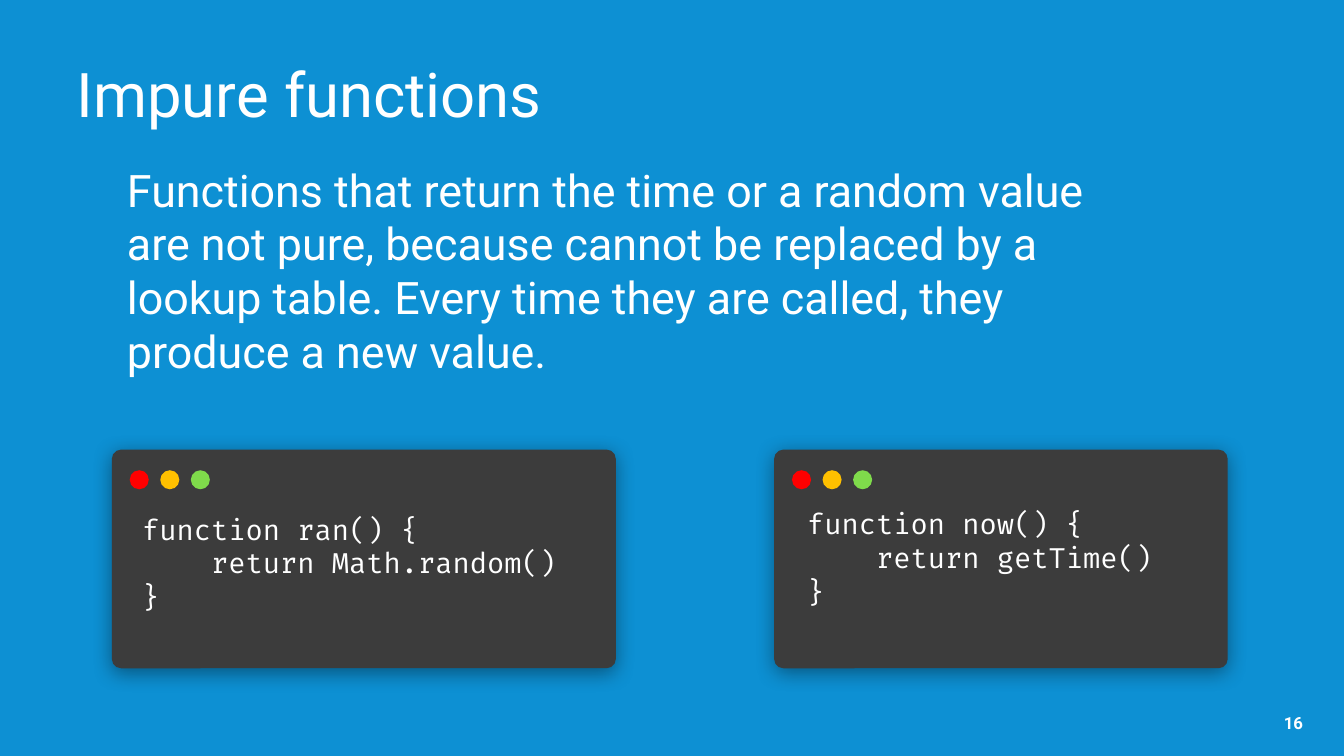
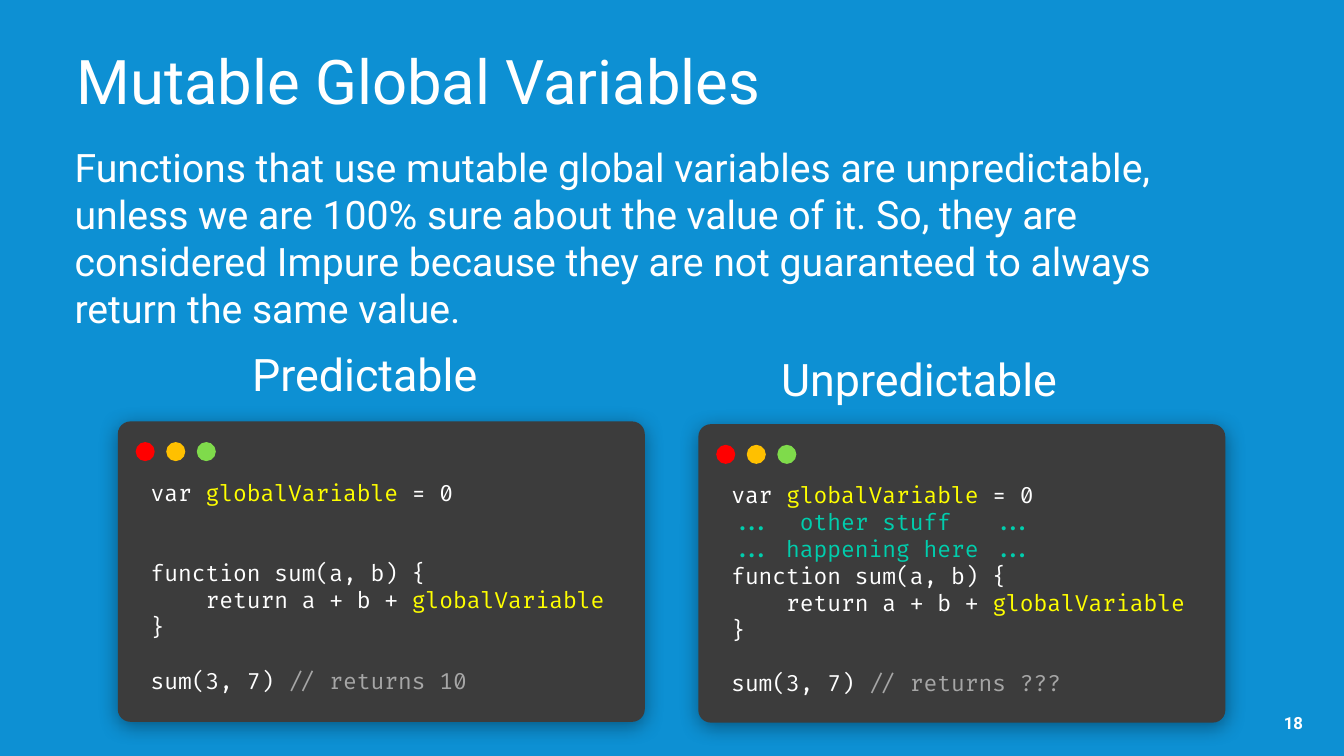
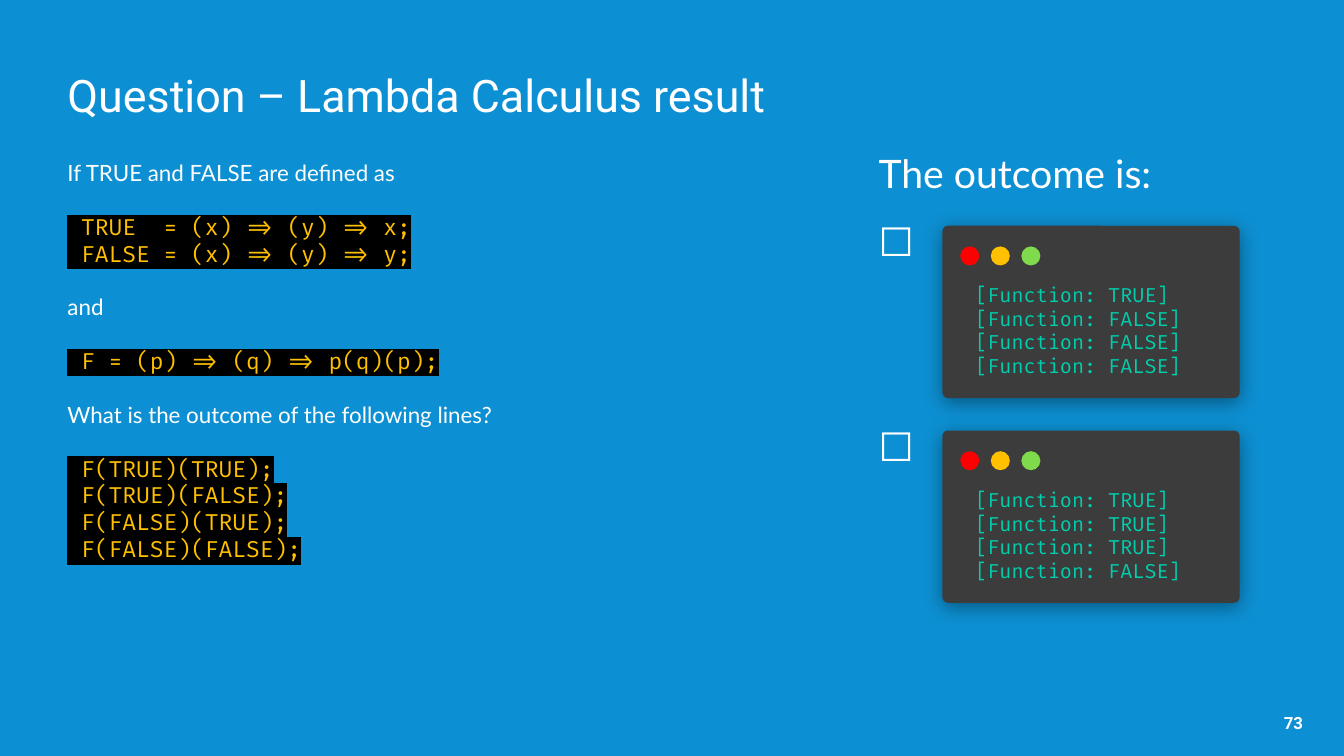
from dataclasses import dataclass
from typing import NamedTuple

from lxml.etree import SubElement
from pptx import Presentation
from pptx.dml.color import RGBColor
from pptx.enum.shapes import MSO_SHAPE
from pptx.enum.text import MSO_ANCHOR, MSO_AUTO_SIZE, PP_ALIGN
from pptx.oxml import parse_xml
from pptx.oxml.ns import nsdecls, qn
from pptx.util import Cm, Pt

# Shared look
COLORS = {
    "background": "0D90D3", "white": "FFFFFF", "black": "000000",
    "window": "3C3C3C", "red": "FF0000", "amber": "FFC000", "green": "7FDB4B",
    "yellow": "FFFF00", "teal": "00CEAD", "gray": "A6A6A6",
}
DOTS = ("red", "amber", "green")
DOT_X, DOT_Y, DOT_SIZE, DOT_PITCH = 0.45, 0.52, 0.48, 0.77
TEXT_FONT, CODE_FONT, QUIZ_FONT = "Roboto", "Fira Code", "Lato"
BLANK_LINE = 19.2  # height in points of an empty 16 pt line


class Box(NamedTuple):
    x: float
    y: float
    w: float
    h: float


class Run(NamedTuple):
    text: str
    color: str = "white"
    font: str = CODE_FONT
    highlight: str = ""


class Line(NamedTuple):
    runs: list[Run]
    before: float = 0
    after: float = 0


@dataclass
class CodeWindow:
    box: Box
    lines: list[Line]
    size: float
    text_x: float = 0.58
    text_y: float = 1.32
    corner: float = 0.042


def rgb(name: str) -> RGBColor:
    return RGBColor.from_string(COLORS[name])


def cm(box: Box) -> list[Cm]:
    return [Cm(v) for v in box]


def apply(target, **values) -> None:
    for key, value in values.items():
        setattr(target, key, value)


def single(text: str, font: str = TEXT_FONT, color: str = "white", after: float = 0) -> Line:
    return Line([Run(text, color, font)], after=after)


# Text
def write(tf, lines: list[Line], size: float, bold: bool = False, **para) -> None:
    apply(tf, word_wrap=True, auto_size=MSO_AUTO_SIZE.NONE)
    for i, line in enumerate(lines):
        p = tf.paragraphs[0] if i == 0 else tf.add_paragraph()
        pPr = p._p.get_or_add_pPr()
        apply_indent = {"marL": "0", "indent": "0"}
        for key, value in apply_indent.items():
            pPr.set(key, value)
        SubElement(pPr, qn("a:buNone"))
        apply(p, space_before=Pt(line.before), space_after=Pt(line.after), **para)
        for run in line.runs:
            r = p.add_run()
            r.text = run.text
            apply(r.font, name=run.font, size=Pt(size), bold=bold)
            r.font.color.rgb = rgb(run.color)
            if run.highlight:
                fill = r._r.rPr.find(qn("a:solidFill"))
                fill.addnext(parse_xml(
                    f'<a:highlight {nsdecls("a")}>'
                    f'<a:srgbClr val="{COLORS[run.highlight]}"/></a:highlight>'))


def set_inset(tf, inset: float) -> None:
    for side in ("left", "top", "right", "bottom"):
        setattr(tf, f"margin_{side}", Cm(inset))


def fill_placeholder(sp, box: Box, lines: list[Line], size: float, **para) -> None:
    apply(sp, **dict(zip(("left", "top", "width", "height"), cm(box))))
    set_inset(sp.text_frame, 0)
    sp.text_frame.vertical_anchor = MSO_ANCHOR.TOP
    write(sp.text_frame, lines, size, alignment=PP_ALIGN.LEFT, **para)


def add_label(shapes, box: Box, lines: list[Line], size: float, **para):
    sp = shapes.add_textbox(*cm(box))
    write(sp.text_frame, lines, size, **para)
    return sp


def add_number(s, number: int) -> None:
    sp = add_label(s.shapes, Box(30.84, 17.83, 2.13, 0.79), [single(str(number))],
                   12, bold=True, alignment=PP_ALIGN.RIGHT)
    sp.text_frame.vertical_anchor = MSO_ANCHOR.MIDDLE
    set_inset(sp.text_frame, 0.13)


# Code window
def add_filled(shapes, kind: MSO_SHAPE, box: Box, color: str):
    sp = shapes.add_shape(kind, *cm(box))
    sp.shadow.inherit = False
    sp.fill.solid()
    sp.fill.fore_color.rgb = rgb(color)
    sp.line.fill.background()
    return sp


def add_window(s, win: CodeWindow) -> None:
    x, y, w, h = win.box
    shapes = s.shapes.add_group_shape().shapes
    frame = add_filled(shapes, MSO_SHAPE.ROUNDED_RECTANGLE, win.box, "window")
    frame.adjustments[0] = win.corner
    frame._element.spPr.find(qn("a:effectLst")).append(parse_xml(
        f'<a:outerShdw {nsdecls("a")} blurRad="{Pt(15)}" dist="{Pt(3)}" dir="5400000" '
        f'algn="t" rotWithShape="0"><a:srgbClr val="{COLORS["black"]}">'
        '<a:alpha val="40000"/></a:srgbClr></a:outerShdw>'))
    for i, color in enumerate(DOTS):
        dot = Box(x + DOT_X + i * DOT_PITCH, y + DOT_Y, DOT_SIZE, DOT_SIZE)
        add_filled(shapes, MSO_SHAPE.OVAL, dot, color)
    text = Box(x + win.text_x, y + win.text_y, w - 2 * win.text_x, h - win.text_y - 0.4)
    add_label(shapes, text, win.lines, win.size)


def add_slide(prs, number: int, title: Line, title_box: Box, title_size: float,
              body: list[Line], body_box: Box, body_size: float, **title_para):
    s = prs.slides.add_slide(prs.slide_layouts[1])
    fill_placeholder(s.shapes.title, title_box, [title], title_size, **title_para)
    fill_placeholder(s.placeholders[1], body_box, body, body_size)
    add_number(s, number)
    return s


# Slides
def impure_functions(prs) -> None:
    s = add_slide(
        prs, 16, single("Impure functions"), Box(1.93, 1.63, 30, 2.2), 44,
        [single("Functions that return the time or a random value are not pure, because "
                "cannot be replaced by a lookup table. Every time they are called, they "
                "produce a new value.")],
        Box(3.2, 4.09, 25.86, 5.49), 32, line_spacing=0.9)

    def function(name: str, result: str) -> list[Line]:
        code = (f"function {name}() {{", f"    return {result}()", "}")
        return [single(text, CODE_FONT) for text in code]

    add_window(s, CodeWindow(Box(19.51, 11.33, 11.43, 5.51), function("now", "getTime"), 20))
    add_window(s, CodeWindow(Box(2.82, 11.33, 12.7, 5.51), function("ran", "Math.random"),
                             20, text_x=0.51, text_y=1.45))


def mutable_globals(prs) -> None:
    s = add_slide(
        prs, 18, single("Mutable Global Variables"), Box(1.93, 1.3, 23.11, 2.18), 44,
        [single("Functions that use mutable global variables are unpredictable, unless we "
                "are 100% sure about the value of it. So, they are considered Impure "
                "because they are not guaranteed to always return the same value.")],
        Box(1.88, 3.61, 29.82, 4.8), 28, line_spacing=0.9)
    variable = Run("globalVariable", "yellow")

    def program(between: list[Line], gap: float, result: str) -> list[Line]:
        return [
            Line([Run("var "), variable, Run(" = 0")]),
            *between,
            Line([Run("function sum(a, b) {")], before=gap),
            Line([Run("    return a + b + "), variable]),
            Line([Run("}")]),
            Line([Run("sum(3, 7) "), Run(f"// returns {result}", "gray")], before=BLANK_LINE),
        ]

    other_stuff = [single(text, CODE_FONT, "teal")
                   for text in ("...  other stuff   ...", "... happening here ...")]
    cases = (
        ("Predictable", Box(2.97, 8.61, 12.45, 1.63), Box(2.97, 10.62, 13.28, 7.57),
         program([], 2 * BLANK_LINE, "10")),
        ("Unpredictable", Box(16.94, 8.74, 12.45, 1.63), Box(17.6, 10.69, 13.28, 7.52),
         program(other_stuff, 0, "???")),
    )
    for heading, heading_box, window_box, code in cases:
        add_label(s.shapes, heading_box, [single(heading)], 32, alignment=PP_ALIGN.CENTER)
        add_window(s, CodeWindow(window_box, code, 16))


def lambda_question(prs) -> None:
    steps = (
        ("If TRUE and FALSE are defined as",
         (" TRUE  = (x) => (y) => x;", " FALSE = (x) => (y) => y;")),
        ("and", (" F = (p) => (q) => p(q)(p);",)),
        ("What is the outcome of the following lines?",
         (" F(TRUE)(TRUE);", " F(TRUE)(FALSE);", " F(FALSE)(TRUE);", " F(FALSE)(FALSE);")),
    )
    body = []
    for prompt, code in steps:
        body.append(Line([Run(prompt, font=QUIZ_FONT)], before=BLANK_LINE if body else 0))
        body += [Line([Run(text, "amber", CODE_FONT, "black")],
                      before=0 if i else BLANK_LINE) for i, text in enumerate(code)]
    s = add_slide(prs, 73, single("Question – Lambda Calculus result"),
                  Box(1.7, 1.7, 27.56, 2.2), 32, body, Box(1.7, 4.01, 13.7, 12), 16)

    # Answers, each with a checkbox
    add_label(s.shapes, Box(21.89, 3.63, 9.7, 1.6), [single("The outcome is:", QUIZ_FONT)], 28)
    answers = (("TRUE", "FALSE", "FALSE", "FALSE"), ("TRUE", "TRUE", "TRUE", "FALSE"))
    for i, answer in enumerate(answers):
        y = 5.69 + i * 5.16
        lines = [single(f"[Function: {value}]", CODE_FONT, "teal") for value in answer]
        add_window(s, CodeWindow(Box(23.75, y, 7.49, 4.34), lines, 14, corner=0.032))
        add_label(s.shapes, Box(21.89, y - 0.34, 1.7, 1.5), [single("☐", QUIZ_FONT)], 28)


def main() -> None:
    prs = Presentation()
    apply(prs, slide_width=Cm(33.87), slide_height=Cm(19.05))
    fill = prs.slide_master.background.fill
    fill.solid()
    fill.fore_color.rgb = rgb("background")
    for build in (impure_functions, mutable_globals, lambda_question):
        build(prs)
    prs.save("out.pptx")


if __name__ == "__main__":
    main()
